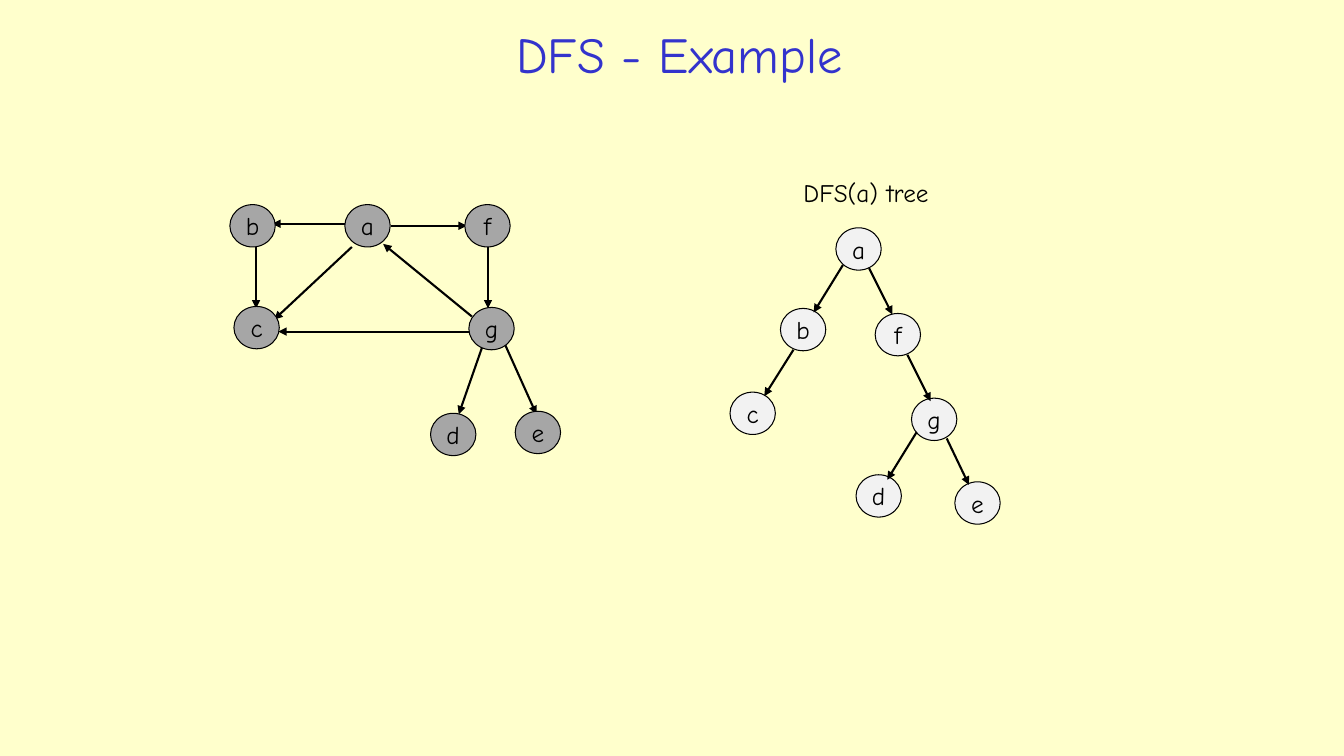
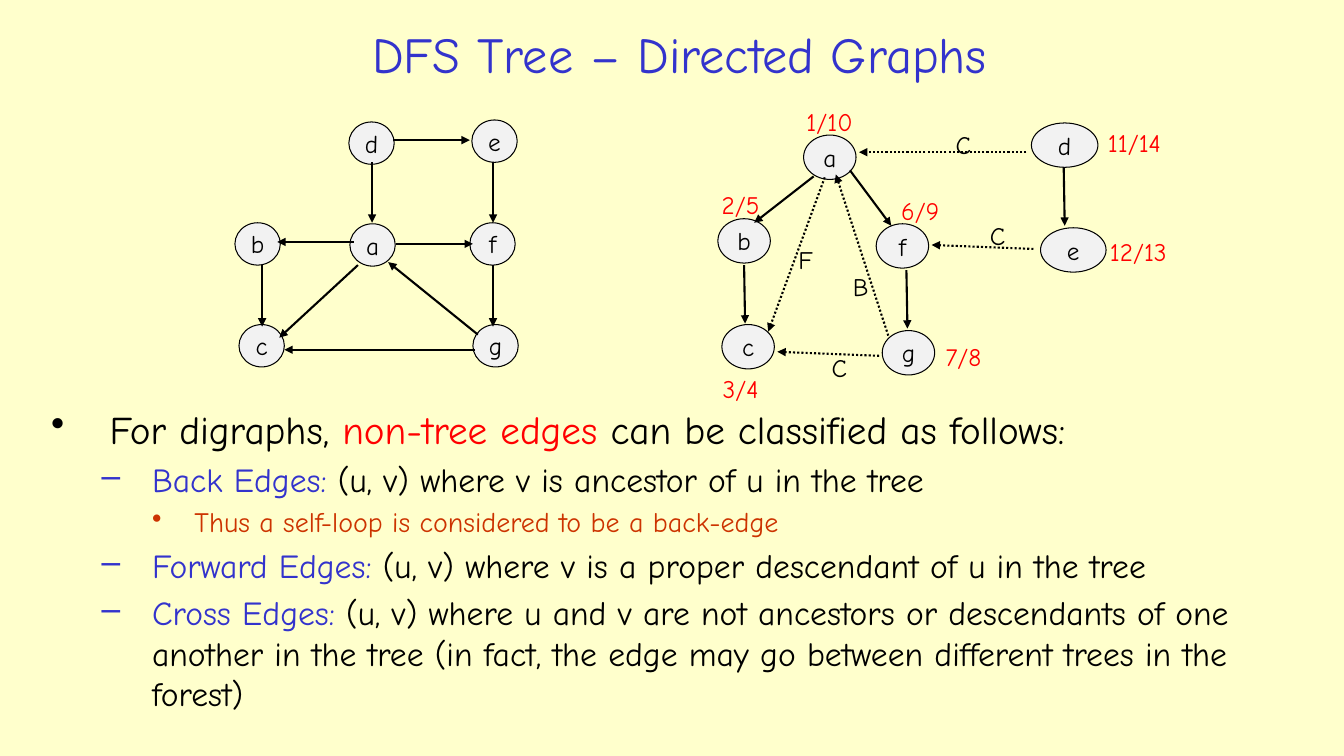
from dataclasses import dataclass

from lxml import etree
from pptx import Presentation
from pptx.dml.color import RGBColor
from pptx.enum.dml import MSO_LINE
from pptx.enum.shapes import MSO_CONNECTOR, MSO_SHAPE
from pptx.enum.text import MSO_ANCHOR, MSO_AUTO_SIZE, PP_ALIGN
from pptx.oxml.ns import qn
from pptx.util import Emu, Pt

DOTTED = MSO_LINE.ROUND_DOT
STRAIGHT = MSO_CONNECTOR.STRAIGHT
ELLIPSE = MSO_SHAPE.OVAL
MIDDLE = MSO_ANCHOR.MIDDLE
FIT_TEXT = MSO_AUTO_SIZE.SHAPE_TO_FIT_TEXT
CENTER = PP_ALIGN.CENTER
EMU_PER_PX = 9144


@dataclass(frozen=True)
class Theme:
    font: str = "Comic Neue"
    paper: str = "FFFFCC"
    ink: str = "000000"
    blue: str = "3333CC"
    red: str = "FF0000"
    rust: str = "CC3300"
    unvisited: str = "F2F2F2"
    visited: str = "A6A6A6"
    title_size: int = 36
    label_size: int = 18
    body_sizes: tuple = (28, 24, 20)
    bullets: tuple = ("•", "–", "•")
    margins: tuple = (58, 100, 142)
    hangings: tuple = (58, 50, 42)
    outline: float = 0.75
    edge: float = 1.5


THEME = Theme()


def px(length):
    return Emu(length * EMU_PER_PX)


class Deck:
    def __init__(self, theme):
        self.theme = theme
        self.prs = Presentation()
        self.prs.slide_width, self.prs.slide_height = px(1333), px(750)
        self.paint(self.prs.slide_master.background.fill, theme.paper)
        self.slide = None

    def paint(self, fill, color):
        fill.solid()
        fill.fore_color.rgb = RGBColor.from_string(color)

    def style(self, paragraph, size, color=None):
        paragraph.font.name = self.theme.font
        paragraph.font.size = Pt(size)
        if color:
            paragraph.font.color.rgb = RGBColor.from_string(color)

    def box(self, left, top, width, height):
        return self.slide.shapes.add_textbox(
            px(left), px(top), px(width), px(height)).text_frame

    def new_slide(self, title):
        self.slide = self.prs.slides.add_slide(self.prs.slide_layouts[6])
        heading = self.box(197, 15, 954, 76)
        heading.word_wrap = True
        heading.vertical_anchor = MIDDLE
        heading.text = title
        heading.paragraphs[0].alignment = CENTER
        self.style(heading.paragraphs[0], self.theme.title_size, self.theme.blue)

    def label(self, text, left, top, width, color=THEME.ink):
        frame = self.box(left, top, width, 40)
        frame.word_wrap = False
        frame.auto_size = FIT_TEXT
        frame.text = text
        self.style(frame.paragraphs[0], self.theme.label_size, color)

    def node(self, name, left, top, width, height, color):
        vertex = self.slide.shapes.add_shape(
            ELLIPSE, px(left), px(top), px(width), px(height))
        vertex.shadow.inherit = False
        self.paint(vertex.fill, color)
        self.paint(vertex.line.fill, self.theme.ink)
        vertex.line.width = Pt(self.theme.outline)
        frame = vertex.text_frame
        frame.word_wrap = False
        frame.vertical_anchor = MIDDLE
        frame.text = name
        frame.paragraphs[0].alignment = CENTER
        self.style(frame.paragraphs[0], self.theme.label_size, self.theme.ink)

    def nodes(self, places, color=THEME.unvisited, height=42):
        for name, left, top, *width in places:
            self.node(name, left, top, width[0] if width else 45, height, color)

    def edges(self, ends, dotted=False):
        for start_x, start_y, end_x, end_y in ends:
            edge = self.slide.shapes.add_connector(
                STRAIGHT, px(start_x), px(start_y), px(end_x), px(end_y))
            self.paint(edge.line.fill, self.theme.ink)
            edge.line.width = Pt(self.theme.edge)
            if dotted:
                edge.line.dash_style = DOTTED
            properties = edge._element.spPr
            etree.SubElement(properties.find(qn("a:ln")), qn("a:tailEnd"), type="triangle")
            etree.SubElement(properties, qn("a:effectLst"))

    def outline(self, items, left, top, width, height):
        frame = self.box(left, top, width, height)
        frame.word_wrap = True
        for index, (level, runs) in enumerate(items):
            paragraph = frame.add_paragraph() if index else frame.paragraphs[0]
            paragraph.level = level
            size = self.theme.body_sizes[level]
            layout = paragraph._p.get_or_add_pPr()
            layout.set("marL", str(px(self.theme.margins[level])))
            layout.set("indent", str(-px(self.theme.hangings[level])))
            etree.SubElement(layout, qn("a:buChar"), char=self.theme.bullets[level])
            paragraph.space_before = Pt(size * 0.2)
            self.style(paragraph, size)
            for text, color in runs:
                run = paragraph.add_run()
                run.text = text
                run.font.color.rgb = RGBColor.from_string(color)


def example_slide(deck):
    deck.new_slide("DFS - Example")
    deck.edges([
        (466, 329, 276, 329), (484, 245, 484, 306), (388, 224, 463, 224),
        (345, 222, 270, 222), (254, 245, 254, 306), (349, 245, 272, 317),
        (468, 314, 380, 242), (478, 345, 455, 411), (501, 342, 532, 411),
    ])
    deck.nodes([
        ("c", 232, 304), ("b", 228, 203), ("g", 465, 305), ("f", 461, 203),
        ("a", 342, 203), ("d", 427, 410), ("e", 511, 408),
    ], THEME.visited)

    deck.nodes([
        ("a", 829, 226), ("b", 774, 306), ("c", 724, 389), ("f", 868, 311),
        ("g", 904, 395), ("d", 849, 471), ("e", 947, 478),
    ])
    deck.edges([
        (836, 263, 807, 310), (787, 347, 758, 393), (862, 266, 885, 312),
        (900, 352, 923, 398), (909, 429, 880, 476), (939, 435, 961, 481),
    ])
    deck.label("DFS(a) tree", 787, 171, 162)


def classification_slide(deck):
    deck.new_slide("DFS Tree – Directed Graphs")
    deck.outline([
        (0, [("For digraphs, ", THEME.ink), ("non-tree edges ", THEME.red),
             ("can be classified as follows:", THEME.ink)]),
        (1, [("Back Edges:", THEME.blue),
             (" (u, v) where v is ancestor of u in the tree", THEME.ink)]),
        (2, [("Thus a self-loop is considered to be a back-edge", THEME.rust)]),
        (1, [("Forward Edges:", THEME.blue),
             (" (u, v) where v is a proper descendant of u in the tree", THEME.ink)]),
        (1, [("Cross Edges:", THEME.blue),
             (" (u, v) where u and v are not ancestors or descendants of one another"
              " in the tree (in fact, the edge may go between different trees"
              " in the forest)", THEME.ink)]),
    ], 41, 397, 1254, 327)

    deck.nodes([
        ("d", 346, 121), ("e", 468, 119), ("f", 466, 221), ("a", 347, 222),
        ("b", 233, 221), ("c", 237, 322), ("g", 469, 322),
    ])
    deck.edges([
        (471, 347, 282, 347), (489, 263, 489, 324), (489, 161, 489, 221),
        (393, 242, 469, 242), (390, 139, 466, 139), (369, 161, 369, 221),
        (351, 240, 275, 240), (260, 263, 260, 324), (355, 263, 277, 335),
        (474, 332, 385, 260),
    ])

    deck.nodes([
        ("a", 797, 134, 52), ("b", 712, 217, 52), ("f", 869, 222, 52),
        ("e", 1032, 226, 65), ("d", 1023, 122, 66), ("c", 716, 322, 52),
        ("g", 875, 328, 52),
    ], height=44)
    deck.edges([
        (807, 175, 748, 221), (738, 263, 739, 321), (843, 169, 884, 224),
        (899, 268, 900, 326), (1055, 166, 1056, 224),
    ])
    deck.edges([
        (881, 333, 829, 173), (872, 353, 771, 349), (818, 176, 762, 329),
        (1025, 247, 924, 243), (1018, 151, 852, 151),
    ], dotted=True)
    for kind, left, top in [("C", 815, 345), ("F", 782, 237), ("B", 836, 264),
                            ("C", 972, 214), ("C", 938, 123)]:
        deck.label(kind, left, top, 35)
    for times, left, top, width in [
        ("12/13", 1091, 230, 87), ("1/10", 790, 101, 71), ("2/5", 706, 183, 64),
        ("3/4", 707, 365, 64), ("6/9", 884, 189, 64), ("7/8", 928, 334, 64),
        ("11/14", 1089, 121, 83),
    ]:
        deck.label(times, left, top, width, THEME.red)


def main():
    deck = Deck(THEME)
    example_slide(deck)
    classification_slide(deck)
    deck.prs.save("out.pptx")


if __name__ == "__main__":
    main()
